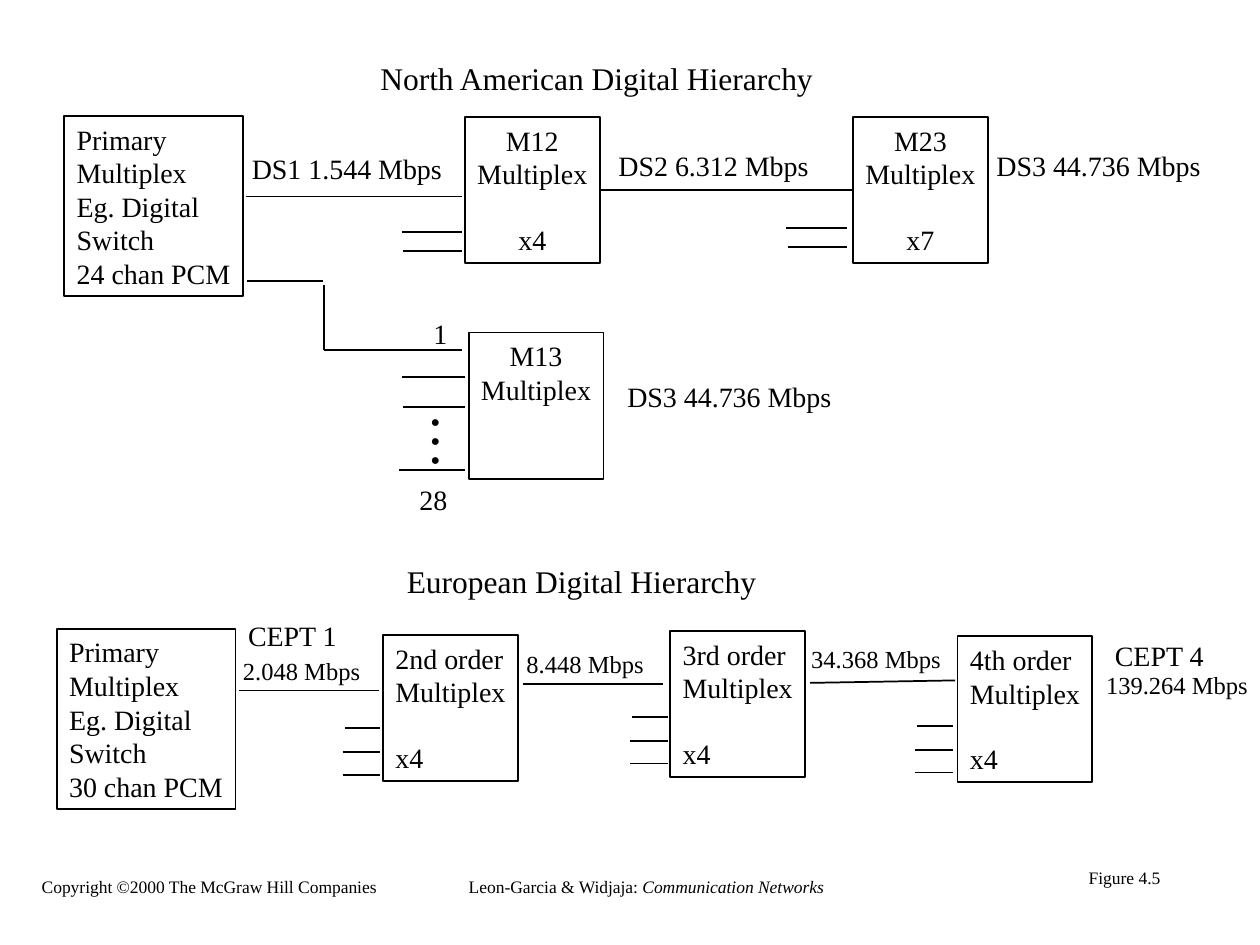
"""Build the slide on North American and European digital hierarchies."""
from lxml import etree
from pptx import Presentation
from pptx import util as u
from pptx.dml.color import RGBColor
from pptx.enum import shapes, text
from pptx.oxml.ns import qn

BLACK = RGBColor(0, 0, 0)
SERIF, SANS = "Times New Roman", "Arial"
LEFT, CENTER = text.PP_ALIGN.LEFT, text.PP_ALIGN.CENTER
LARGE, SMALL = (1.42, 1.43), (1.07, 1.16)
LINE_GAP = u.Pt(18.4)

PRIMARY = ["Primary", "Multiplex", "Eg. Digital", "Switch"]
MULTIPLEXERS = [
    ((0.51, 0.92), LARGE, LEFT, PRIMARY + ["24 chan PCM"], None),
    ((3.69, 0.93), SMALL, CENTER, ["M12", "Multiplex"], "x4"),
    ((6.77, 0.93), SMALL, CENTER, ["M23", "Multiplex"], "x7"),
    ((3.72, 2.64), SMALL, CENTER, ["M13", "Multiplex"], None),
    ((0.45, 4.99), LARGE, LEFT, PRIMARY + ["30 chan PCM"], None),
    ((3.04, 5.04), SMALL, LEFT, ["2nd order", "Multiplex"], "x4"),
    ((5.32, 5.01), SMALL, LEFT, ["3rd order", "Multiplex"], "x4"),
    ((7.60, 5.05), SMALL, LEFT, ["4th order", "Multiplex"], "x4"),
]

LABELS = [
    ("North American Digital Hierarchy", 18, (2.92, 0.42, 3.65, 0.40)),
    ("European Digital Hierarchy", 18, (3.13, 4.41, 2.98, 0.40)),
    ("DS1 1.544 Mbps", 16, (1.90, 1.15, 1.71, 0.36)),
    ("DS2 6.312 Mbps", 16, (4.81, 1.13, 1.71, 0.36)),
    ("DS3 44.736 Mbps", 16, (7.81, 1.13, 1.82, 0.36)),
    ("DS3 44.736 Mbps", 16, (4.88, 2.96, 1.82, 0.36)),
    ("1", 16, (3.34, 2.46, 0.31, 0.36)),
    ("28", 16, (3.23, 3.78, 0.42, 0.36)),
    ("CEPT 1", 16, (1.87, 4.86, 0.91, 0.36)),
    ("CEPT 4", 16, (8.75, 5.02, 0.91, 0.36)),
    ("2.048 Mbps", 14, (1.83, 5.16, 1.13, 0.33)),
    ("8.448 Mbps", 14, (4.08, 5.10, 1.18, 0.33)),
    ("34.368 Mbps", 14, (6.34, 5.06, 1.23, 0.33)),
    ("139.264 Mbps", 14, (8.68, 5.27, 1.33, 0.33)),
]

FOOTERS = [
    ([("Copyright ©2000 The McGraw Hill Companies", False)], (0.23, 6.90, 2.86, 0.27)),
    ([("Leon-Garcia & Widjaja: ", False), ("Communication Networks", True)],
     (3.60, 6.90, 3.06, 0.27)),
    ([("Figure 4.5", False)], (8.54, 6.83, 0.77, 0.27)),
]

LINKS = [
    (1.95, 1.56, 3.67, 1.56),
    (1.96, 2.23, 2.56, 2.23),
    (2.57, 2.26, 2.57, 2.78),
    (2.57, 2.78, 3.67, 2.78),
    (1.90, 5.48, 3.01, 5.48),
    (4.15, 5.43, 5.26, 5.43),
    (6.43, 5.42, 7.58, 5.40),
]

PAIR = [(0, 0.48), (0.15, 0.47)]
TRIPLE = [(0, 0.28), (0.19, 0.30), (0.37, 0.30)]
M13_INPUTS = [(0, 0.50), (0.24, 0.49), (0.74, 0.52)]
INPUTS = [
    (3.67, 1.84, PAIR),
    (6.72, 1.81, PAIR),
    (3.69, 2.99, M13_INPUTS),
    (3.02, 5.78, TRIPLE),
    (5.30, 5.69, TRIPLE),
    (7.56, 5.76, TRIPLE),
]


def write(box, lines, size, font=SERIF, align=LEFT, anchor=text.MSO_ANCHOR.TOP, wrap=False):
    frame = box.text_frame
    frame.word_wrap = wrap
    frame.vertical_anchor = anchor
    for index, spans in enumerate(lines):
        para = frame.add_paragraph() if index else frame.paragraphs[0]
        para.alignment = align
        for words, italic in spans:
            span = para.add_run()
            span.text = words
            span.font.name = font
            span.font.size = u.Pt(size)
            span.font.italic = italic
            span.font.color.rgb = BLACK


def add_label(page, place, lines, size, **style):
    box = page.shapes.add_textbox(*map(u.Inches, place))
    write(box, lines, size, **style)


def add_multiplexer(page, corner, size, align, names, factor):
    box = page.shapes.add_shape(
        shapes.MSO_SHAPE.RECTANGLE, *map(u.Inches, corner + size))
    box.shadow.inherit = False
    box.fill.background()
    box.line.color.rgb = BLACK
    box.line.width = u.Pt(1)
    lines = names + ([factor] if factor else [])
    write(box, [[(line, False)] for line in lines], 16, align=align)
    if factor:
        box.text_frame.paragraphs[-1].space_before = LINE_GAP
    return box


def add_line(page, *ends):
    line = page.shapes.add_connector(
        shapes.MSO_CONNECTOR.STRAIGHT, *map(u.Inches, ends))
    line.line.color.rgb = BLACK
    line.line.width = u.Pt(1)
    etree.SubElement(line._element.spPr, qn("a:effectLst"))
    return line


def main():
    deck = Presentation()
    deck.slide_width, deck.slide_height = u.Inches(10), u.Inches(7.5)
    page = deck.slides.add_slide(deck.slide_layouts[6])

    boxes = {}
    for corner, size, align, names, factor in MULTIPLEXERS:
        boxes[names[0], corner] = add_multiplexer(page, corner, size, align, names, factor)
    m12, m23 = list(boxes.values())[1:3]

    for ends in LINKS:
        add_line(page, *ends)
    ds2 = add_line(page, 4.76, 1.51, 6.77, 1.51)
    ds2.begin_connect(m12, 3)
    ds2.end_connect(m23, 1)
    for right, top, strokes in INPUTS:
        for drop, length in strokes:
            add_line(page, right - length, top + drop, right, top + drop)

    for words, size, place in LABELS:
        add_label(page, place, [[(words, False)]], size)
    add_label(page, (3.32, 3.22, 0.31, 0.55), [[("●", False)]] * 3, 9, font=SANS, wrap=True)
    for spans, place in FOOTERS:
        add_label(page, place, [spans], 10, align=CENTER, anchor=text.MSO_ANCHOR.MIDDLE)

    deck.save("out.pptx")


if __name__ == "__main__":
    main()
